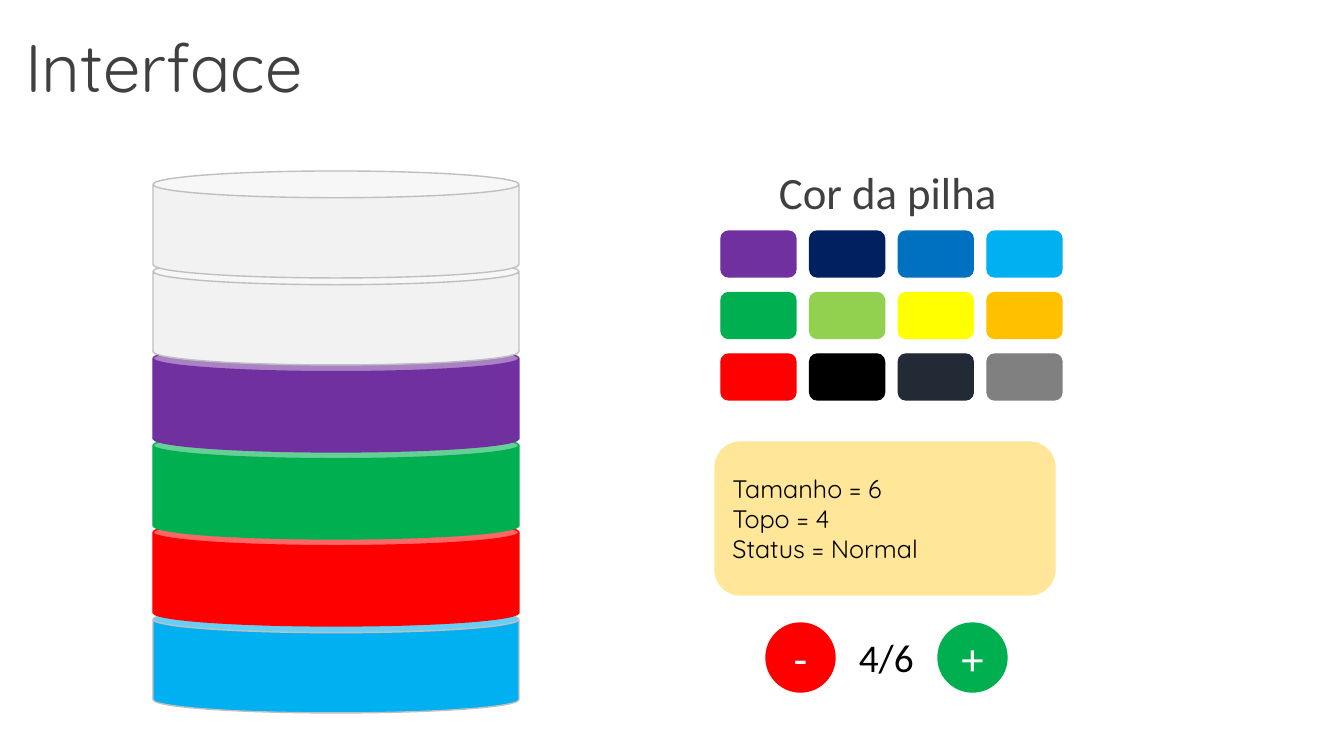
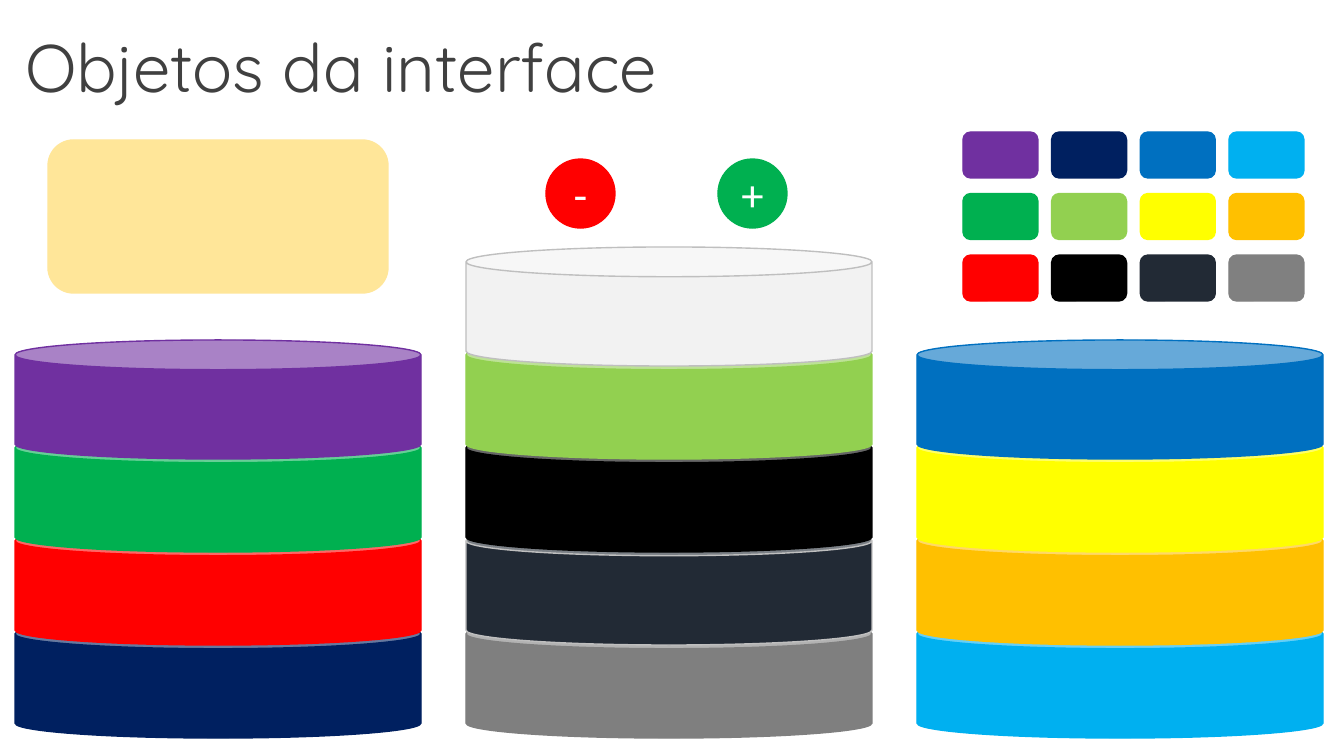
import pptx
import pptx.util
import pptx.dml.color
import pptx.enum.shapes
import pptx.enum.text

SHAPES = pptx.enum.shapes.MSO_SHAPE
ALIGN = pptx.enum.text.PP_ALIGN
ANCHOR = pptx.enum.text.MSO_ANCHOR
AUTO_SIZE = pptx.enum.text.MSO_AUTO_SIZE

PIXEL = 914400 / 100.8
TITLE_FONT = "Quicksand"
LABEL_FONT = "Calibri"
COLORS = {
    "purple": "7030A0", "navy": "002060", "blue": "0070C0", "sky": "00B0F0",
    "green": "00B050", "lime": "92D050", "yellow": "FFFF00", "orange": "FFC000",
    "red": "FF0000", "black": "000000", "slate": "222A35", "gray": "808080",
    "disc gray": "7F7F7F", "empty": "F2F2F2", "outline": "BFBFBF",
    "panel": "FFE699", "white": "FFFFFF", "text": "404040",
}
PALETTE = [
    ["purple", "navy", "blue", "sky"],
    ["green", "lime", "yellow", "orange"],
    ["red", "black", "slate", "gray"],
]


def px(value):
    return pptx.util.Emu(round(value * PIXEL))


def rgb(name):
    return pptx.dml.color.RGBColor.from_string(COLORS[name])


def write(text_frame, text, font, size, color, align=ALIGN.LEFT):
    text_frame.text = text
    for paragraph in text_frame.paragraphs:
        paragraph.alignment = align
        for run in paragraph.runs:
            run.font.name = font
            run.font.size = pptx.util.Pt(size)
            run.font.color.rgb = rgb(color)


def add_shape(slide, kind, left, top, width, height, fill, line=None):
    shape = slide.shapes.add_shape(kind, px(left), px(top), px(width), px(height))
    shape.shadow.inherit = False
    shape.fill.solid()
    shape.fill.fore_color.rgb = rgb(fill)
    shape.line.color.rgb = rgb(line or fill)
    shape.line.width = pptx.util.Pt(1)
    shape.text_frame.vertical_anchor = ANCHOR.MIDDLE
    return shape


def add_label(slide, left, top, width, height, text, size, color):
    box = slide.shapes.add_textbox(px(left), px(top), px(width), px(height))
    box.text_frame.word_wrap = True
    write(box.text_frame, text, LABEL_FONT, size, color)


def add_titled_slide(presentation, title, width):
    slide = presentation.slides.add_slide(presentation.slide_layouts[5])
    shape = slide.shapes.title
    shape.left, shape.top, shape.width, shape.height = px(15), px(20), px(width), px(92)
    frame = shape.text_frame
    frame.word_wrap = False
    frame.auto_size = AUTO_SIZE.NONE
    frame.vertical_anchor = ANCHOR.TOP
    write(frame, title, TITLE_FONT, 48, "text")
    return slide


def add_stack(slide, left, bottom_top, width, height, step, discs):
    """Draw (fill, line) discs from the bottom of the stack upwards."""
    for level, (fill, line) in enumerate(discs):
        add_shape(slide, SHAPES.CAN, left, bottom_top - level * step,
                  width, height, fill, line)


def add_palette(slide, left, top):
    width, height = 75, 46
    column_step, row_step = (341 - width) / 3, (169 - height) / 2
    for row, names in enumerate(PALETTE):
        for column, name in enumerate(names):
            add_shape(slide, SHAPES.ROUNDED_RECTANGLE, left + column * column_step,
                      top + row * row_step, width, height, name)


def add_buttons(slide, left, top):
    for index, (sign, color) in enumerate([("-", "red"), ("+", "green")]):
        button = add_shape(slide, SHAPES.OVAL, left + index * 172, top, 69, 69, color)
        write(button.text_frame, sign, LABEL_FONT, 32, "white", ALIGN.CENTER)


def add_panel(slide, left, top, text=""):
    panel = add_shape(slide, SHAPES.ROUNDED_RECTANGLE, left, top, 340, 153, "panel")
    if text:
        write(panel.text_frame, text, TITLE_FONT, 18, "black")


def build_interface(presentation):
    slide = add_titled_slide(presentation, "Interface", 320)
    add_stack(slide, 153, 606, 366, 107, 87, [
        ("sky", "outline"), ("red", None), ("green", None), ("purple", None),
        ("empty", "outline"), ("empty", "outline")])
    # Colour picker
    add_label(slide, 769, 160, 257, 65, "Cor da pilha", 32, "text")
    add_palette(slide, 721, 231)
    # Status and counter
    add_panel(slide, 715, 442, "Tamanho = 6\nTopo = 4\nStatus = Normal")
    add_buttons(slide, 766, 623)
    add_label(slide, 849, 628, 76, 57, "4/6", 28, "black")


def build_objects(presentation):
    slide = add_titled_slide(presentation, "Objetos da interface", 689)
    # Three stacks at equal steps
    stacks = [
        [("navy", None), ("red", None), ("green", None), ("purple", None)],
        [("disc gray", None), ("slate", "outline"), ("black", None), ("lime", None),
         ("empty", "outline")],
        [("sky", None), ("orange", None), ("yellow", None), ("blue", None)],
    ]
    for index, discs in enumerate(stacks):
        add_stack(slide, 15 + index * 451, 619, 406, 119, 93, discs)
    # Loose controls
    add_palette(slide, 963, 132)
    add_buttons(slide, 546, 159)
    add_panel(slide, 48, 140)


def main():
    presentation = pptx.Presentation()
    presentation.slide_width, presentation.slide_height = px(1344), px(756)
    build_interface(presentation)
    build_objects(presentation)
    presentation.save("out.pptx")


main()
